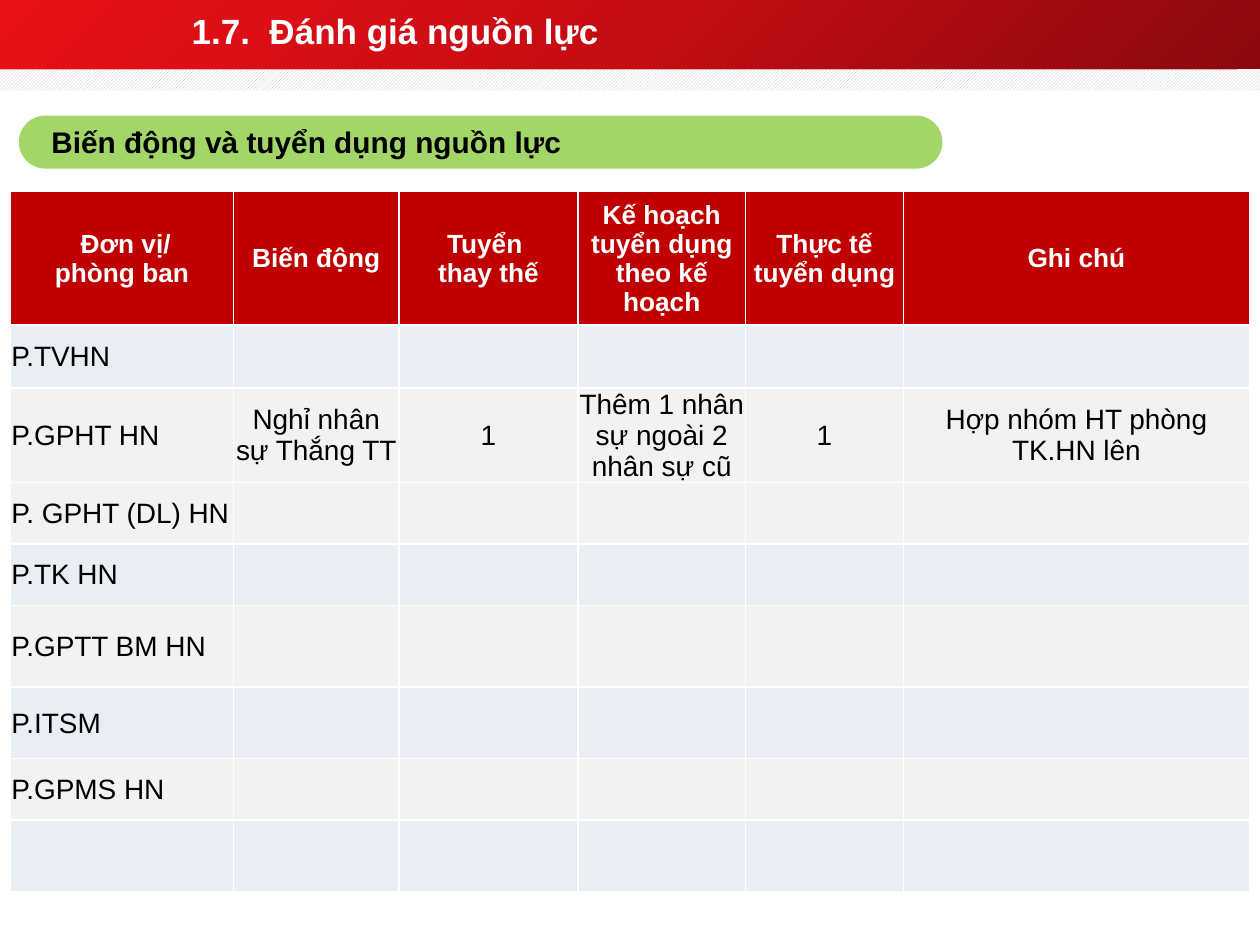
from copy import deepcopy
from dataclasses import dataclass

from lxml import etree
from pptx import Presentation
from pptx import util as u
from pptx.dml.color import RGBColor
from pptx.enum import dml, shapes, text
from pptx.oxml import ns

WHITE = RGBColor(0xFF, 0xFF, 0xFF)
BLACK = RGBColor(0, 0, 0)
GREY = RGBColor(0xBF, 0xBF, 0xBF)
GREEN = RGBColor(0xA2, 0xD6, 0x68)
RED = RGBColor(0xC0, 0, 0)
BLUE = RGBColor(0xE9, 0xED, 0xF4)
PALE = RGBColor(0xF2, 0xF2, 0xF2)
FADE = [(0, RGBColor(0x8B, 0x09, 0x0D)), (0.5, RGBColor(0xC5, 0x0D, 0x13)),
        (1, RGBColor(0xEA, 0x10, 0x17))]
FONT = "Arial"
LEFT, MID = text.PP_ALIGN.LEFT, text.PP_ALIGN.CENTER


@dataclass
class Box:
    left: float
    top: float
    width: float
    height: float

    def sizes(self) -> list[u.Cm]:
        return [u.Cm(n) for n in (self.left, self.top, self.width, self.height)]


@dataclass
class Row:
    height: float
    fill: RGBColor
    cells: tuple[str, ...] = ()


TITLE = Box(3.61, 0, 19.25, 1.22)
BANNER = Box(0, 0, 25.4, 1.4)
STRIPE = Box(0, 1.4, 25.4, 0.43)
LABEL = Box(0.38, 2.33, 18.62, 1.07)
GRID = Box(0.21, 3.86, 24.97, 14.11)
COLS = (4.5, 3.33, 3.61, 3.38, 3.18, 6.98)
ROWS = (
    Row(2.69, RED, (" Đơn vị/\nphòng ban", "Biến động", "Tuyển \nthay thế",
                    "Kế hoạch\ntuyển dụng\ntheo kế hoạch",
                    "Thực tế\ntuyển dụng", "Ghi chú")),
    Row(1.27, BLUE, ("P.TVHN",)),
    Row(1.9, PALE, ("P.GPHT HN", "Nghỉ nhân sự Thắng TT", "1",
                    "Thêm 1 nhân sự ngoài 2 nhân sự cũ", "1",
                    "Hợp nhóm HT phòng TK.HN lên")),
    Row(1.24, PALE, ("P. GPHT (DL) HN",)),
    Row(1.24, BLUE, ("P.TK HN",)),
    Row(1.65, PALE, ("P.GPTT BM HN",)),
    Row(1.44, BLUE, ("P.ITSM",)),
    Row(1.24, PALE, ("P.GPMS HN",)),
    Row(1.44, BLUE),
)


def style(frame, size: int, color: RGBColor, bold: bool, align) -> None:
    for para in frame.paragraphs:
        para.alignment = align
        for run in para.runs:
            font = run.font
            font.name, font.size, font.bold = FONT, u.Pt(size), bold
            font.color.rgb = color


def add_box(slide, kind, box: Box):
    """Add a preset shape with neither shadow nor outline."""
    shape = slide.shapes.add_shape(kind, *box.sizes())
    shape.shadow.inherit = False
    shape.line.fill.background()
    return shape


def add_bands(slide) -> None:
    """Add the gradient banner and the hatched stripe under it."""
    kind = shapes.MSO_SHAPE.RECTANGLE
    fill = add_box(slide, kind, BANNER).fill
    fill.gradient()
    fill.gradient_angle = 135
    stops = next(fill.gradient_stops[0].color._xFill.iterancestors(ns.qn("a:gsLst"))) \
        if hasattr(fill.gradient_stops[0].color, "_xFill") else None
    if stops is None:
        shape = slide.shapes[-1]
        stops = next(shape.element.iter(ns.qn("a:gsLst")))
    stops.append(deepcopy(stops[0]))
    for stop, (place, color) in zip(fill.gradient_stops, FADE):
        stop.position = place
        stop.color.rgb = color

    hatch = add_box(slide, kind, STRIPE).fill
    hatch.patterned()
    hatch.pattern = dml.MSO_PATTERN.DARK_UPWARD_DIAGONAL
    hatch.fore_color.rgb, hatch.back_color.rgb = GREY, WHITE


def add_title(slide) -> None:
    title = slide.shapes.title
    title.left, title.top, title.width, title.height = TITLE.sizes()
    frame = title.text_frame
    frame.text = "1.7.  Đánh giá nguồn lực"
    frame.vertical_anchor = text.MSO_ANCHOR.MIDDLE
    style(frame, 20, WHITE, True, LEFT)
    title.element.getparent().append(title.element)  # in front of the banner


def add_label(slide) -> None:
    label = add_box(slide, shapes.MSO_SHAPE.ROUNDED_RECTANGLE, LABEL)
    label.adjustments[0] = 0.5
    label.fill.solid()
    label.fill.fore_color.rgb = GREEN
    frame = label.text_frame
    frame.text = "Biến động và tuyển dụng nguồn lực"
    frame.word_wrap = True
    frame.margin_left = u.Cm(0.5)
    frame.vertical_anchor = text.MSO_ANCHOR.MIDDLE
    style(frame, 17, BLACK, True, LEFT)


def add_edges(cell) -> None:
    """Give a cell white borders of one point."""
    props = cell._tc.get_or_add_tcPr()
    for side in "LRTB":
        line = etree.SubElement(props, ns.qn(f"a:ln{side}"), w=str(u.Pt(1)))
        solid = etree.SubElement(line, ns.qn("a:solidFill"))
        etree.SubElement(solid, ns.qn("a:srgbClr"), val=str(WHITE))


def add_grid(slide) -> None:
    table = slide.shapes.add_table(len(ROWS), len(COLS), *GRID.sizes()).table
    for col, width in zip(table.columns, COLS):
        col.width = u.Cm(width)
    for i, row in enumerate(ROWS):
        table.rows[i].height = u.Cm(row.height)
        for j, cell in enumerate(table.rows[i].cells):
            add_edges(cell)
            cell.fill.solid()
            cell.fill.fore_color.rgb = row.fill
            if j >= len(row.cells):
                continue
            cell.text = row.cells[j]
            cell.vertical_anchor = text.MSO_ANCHOR.MIDDLE
            cell.margin_left = cell.margin_right = cell.margin_top = u.Cm(0.02)
            cell.margin_bottom = 0
            if i == 0:
                style(cell.text_frame, 15, WHITE, True, MID)
            else:
                style(cell.text_frame, 16, BLACK, False, MID if j else LEFT)


def main() -> None:
    deck = Presentation()
    deck.slide_width, deck.slide_height = u.Cm(25.4), u.Cm(19.05)
    slide = deck.slides.add_slide(deck.slide_layouts[5])
    add_bands(slide)
    add_title(slide)
    add_grid(slide)
    add_label(slide)
    deck.save("out.pptx")


if __name__ == "__main__":
    main()
